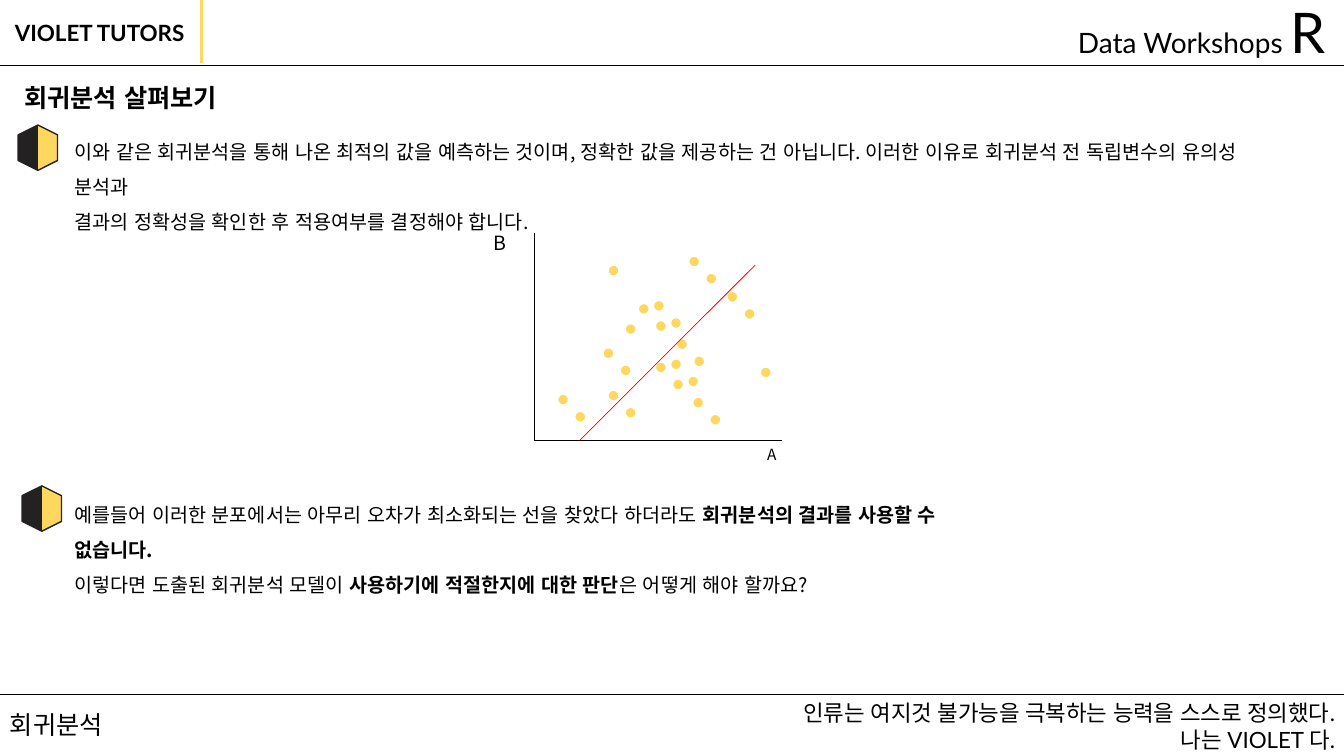
from lxml import etree
from pptx import Presentation, util as u
from pptx.dml.color import RGBColor
from pptx.enum import lang, shapes, text
from pptx.oxml.ns import qn

WIDTH, HEIGHT = 13.33, 7.5
BLACK = RGBColor(0x00, 0x00, 0x00)
WHITE = RGBColor(0xFF, 0xFF, 0xFF)
DARK = RGBColor(0x23, 0x21, 0x22)
YELLOW = RGBColor(0xFE, 0xD7, 0x5F)
RED = RGBColor(0xFF, 0x00, 0x00)
LATO, NOTO = "Lato", "Noto Sans CJK KR"
LEFT, CENTER, RIGHT = text.PP_ALIGN.LEFT, text.PP_ALIGN.CENTER, text.PP_ALIGN.RIGHT

DOT, PAIR_STEP = 0.11, 0.17
# Offsets from the top left of the plot; each pair has a second dot one step down and right
PAIRS = [(0.23, 1.6), (0.73, 1.56), (1.18, 0.67), (1.53, 0.23), (1.91, 0.58), (0.68, 1.14),
         (1.03, 0.7), (1.41, 1.05), (1.35, 1.25), (1.2, 1.28), (1.57, 1.63)]
SINGLES = [(2.24, 1.33), (0.73, 0.32), (0.9, 0.9)]

INTRO = [
    [("이와 같은 회귀분석을 통해 나온 최적의 값을 예측하는 것이며, 정확한 값을 제공하는 건 아닙니다. "
      "이러한 이유로 회귀분석 전 독립변수의 유의성 분석과", False)],
    [("결과의 정확성을 확인한 후 적용여부를 결정해야 합니다.", False)],
]
QUESTION = [
    [("예를들어 이러한 분포에서는 아무리 오차가 최소화되는 선을 찾았다 하더라도 ", False),
     ("회귀분석의 결과를 사용할 수 없습니다.", True)],
    [("이렇다면 도출된 회귀분석 모델이 ", False),
     ("사용하기에 적절한지에 대한 판단", True),
     ("은 어떻게 해야 할까요?", False)],
]


def inches(*lengths):
    return [u.Inches(length) for length in lengths]


def add_span(para, words, size, font, bold=False):
    span = para.add_run()
    span.text = words
    span.font.size, span.font.name, span.font.bold = u.Pt(size), font, bold
    span.font.color.rgb = BLACK
    span.font.language_id = lang.MSO_LANGUAGE_ID.KOREAN
    east_asian = etree.SubElement(span._r.get_or_add_rPr(), qn("a:ea"))
    east_asian.set("typeface", font)


def add_text(page, box, align=LEFT, wrap=True):
    """Add an empty text box and return its first paragraph."""
    frame = page.shapes.add_textbox(*inches(*box)).text_frame
    frame.word_wrap = wrap
    frame.paragraphs[0].alignment = align
    return frame.paragraphs[0]


def add_line(page, start, end, color=BLACK, weight=0.5):
    line = page.shapes.add_connector(
        shapes.MSO_CONNECTOR.STRAIGHT, *inches(*start, *end))
    line.line.color.rgb, line.line.width = color, u.Pt(weight)
    etree.SubElement(line._element.spPr, qn("a:effectLst"))


def add_header(page, height):
    add_line(page, (2, 0), (2, height - 0.02), YELLOW, 2.25)
    add_line(page, (0, height), (WIDTH, height))
    add_span(add_text(page, (-0.04, 0.14, 2.11, 0.37), CENTER), "VIOLET TUTORS ", 16, LATO, True)
    course = add_text(page, (9.55, -0.07, 3.69, 0.77), RIGHT)
    add_span(course, "Data Workshops ", 20, LATO)
    add_span(course, "R", 40, LATO)


def add_footer(page, top):
    add_line(page, (0, top), (WIDTH, top))
    add_span(add_text(page, (0, top + 0.1, 1.15, 0.4), wrap=False), "회귀분석", 18, NOTO)
    motto = add_text(page, (7.07, top, 6.27, 0.64), RIGHT)
    add_span(motto, "인류는 여지것 불가능을 극복하는 능력을 스스로 정의했다.", 16, LATO)
    motto.add_line_break()
    add_span(motto, "나는 VIOLET 다.", 16, LATO)


def add_title(page, box):
    title = page.shapes.title
    title.left, title.top, title.width, title.height = inches(*box)
    frame = title.text_frame
    frame.auto_size, frame.word_wrap = text.MSO_AUTO_SIZE.NONE, False
    frame.vertical_anchor = text.MSO_ANCHOR.TOP
    para = frame.paragraphs[0]
    para.alignment, para.line_spacing = LEFT, 1.0
    add_span(para, "회귀분석 살펴보기", 18, NOTO, True)


def add_marker(page, left, top):
    """Add an upright hexagon, dark on the left and yellow on the right."""
    marker = page.shapes.add_shape(
        shapes.MSO_SHAPE.HEXAGON, *inches(left, top, 0.45, 0.39))
    marker.rotation = 90
    marker.shadow.inherit = False
    marker.fill.gradient()
    marker.fill.gradient_angle = 270
    for stop, color in zip(marker.fill.gradient_stops, (YELLOW, DARK)):
        stop.position, stop.color.rgb = 0.5, color
    marker.line.color.rgb, marker.line.width = DARK, u.Pt(1)


def add_body(page, box, paragraphs):
    para = add_text(page, box)
    frame = para._parent
    for index, spans in enumerate(paragraphs):
        if index:
            para = frame.add_paragraph()
        para.line_spacing = 1.5
        for words, bold in spans:
            add_span(para, words, 14, NOTO, bold)


def add_scatter(page, box):
    left, top, width, height = box
    bottom = top + height
    add_line(page, (left, top), (left, bottom))
    add_line(page, (left, bottom), (left + width, bottom))
    add_span(add_text(page, (left - 1.31, top - 0.07, 1.93, 0.34), CENTER), "B", 14, NOTO)
    add_span(add_text(page, (left + 1.78, bottom, 1.15, 0.29), CENTER), "A", 11, NOTO)
    seconds = [(x + PAIR_STEP, y + PAIR_STEP) for x, y in PAIRS]
    for x, y in PAIRS + seconds + SINGLES:
        dot = page.shapes.add_shape(
            shapes.MSO_SHAPE.OVAL, *inches(left + x, top + y, DOT, DOT))
        dot.shadow.inherit = False
        dot.fill.solid()
        dot.fill.fore_color.rgb = YELLOW
        dot.line.color.rgb, dot.line.width = WHITE, u.Pt(1)
    add_line(page, (left + 0.45, bottom), (left + 2.19, top + 0.32), RED)


def main():
    deck = Presentation()
    deck.slide_width, deck.slide_height = inches(WIDTH, HEIGHT)
    page = deck.slides.add_slide(deck.slide_layouts.get_by_name("Title Only"))
    add_header(page, 0.65)
    add_title(page, (0.14, 0.77, 2.18, 0.4))
    add_marker(page, 0.15, 1.27)
    add_body(page, (0.64, 1.22, 12.22, 0.81), INTRO)
    add_scatter(page, (5.3, 2.31, 2.46, 2.06))
    add_body(page, (0.64, 4.82, 9.2, 0.81), QUESTION)
    add_marker(page, 0.19, 4.85)
    add_footer(page, 6.89)
    deck.save("out.pptx")


if __name__ == "__main__":
    main()
